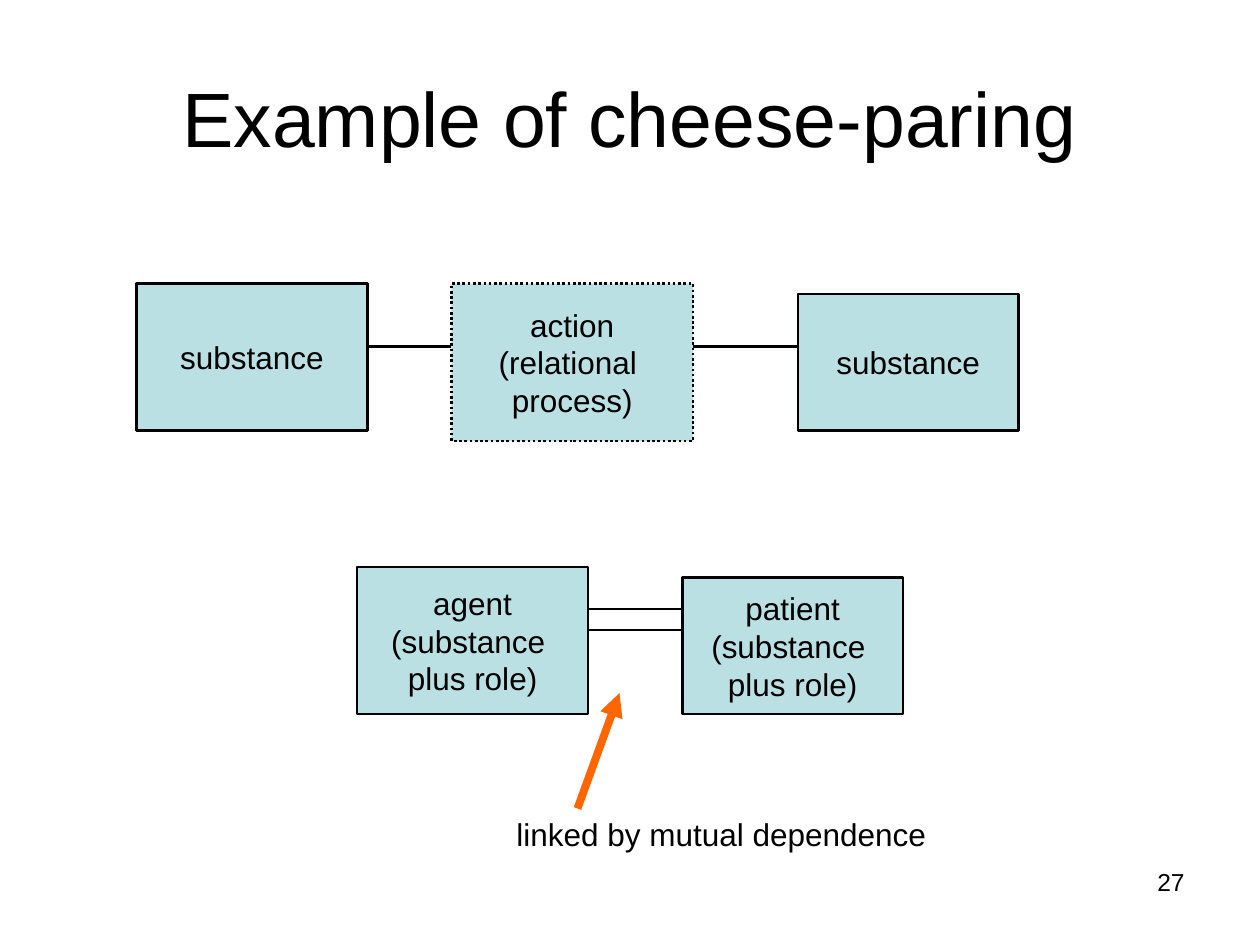
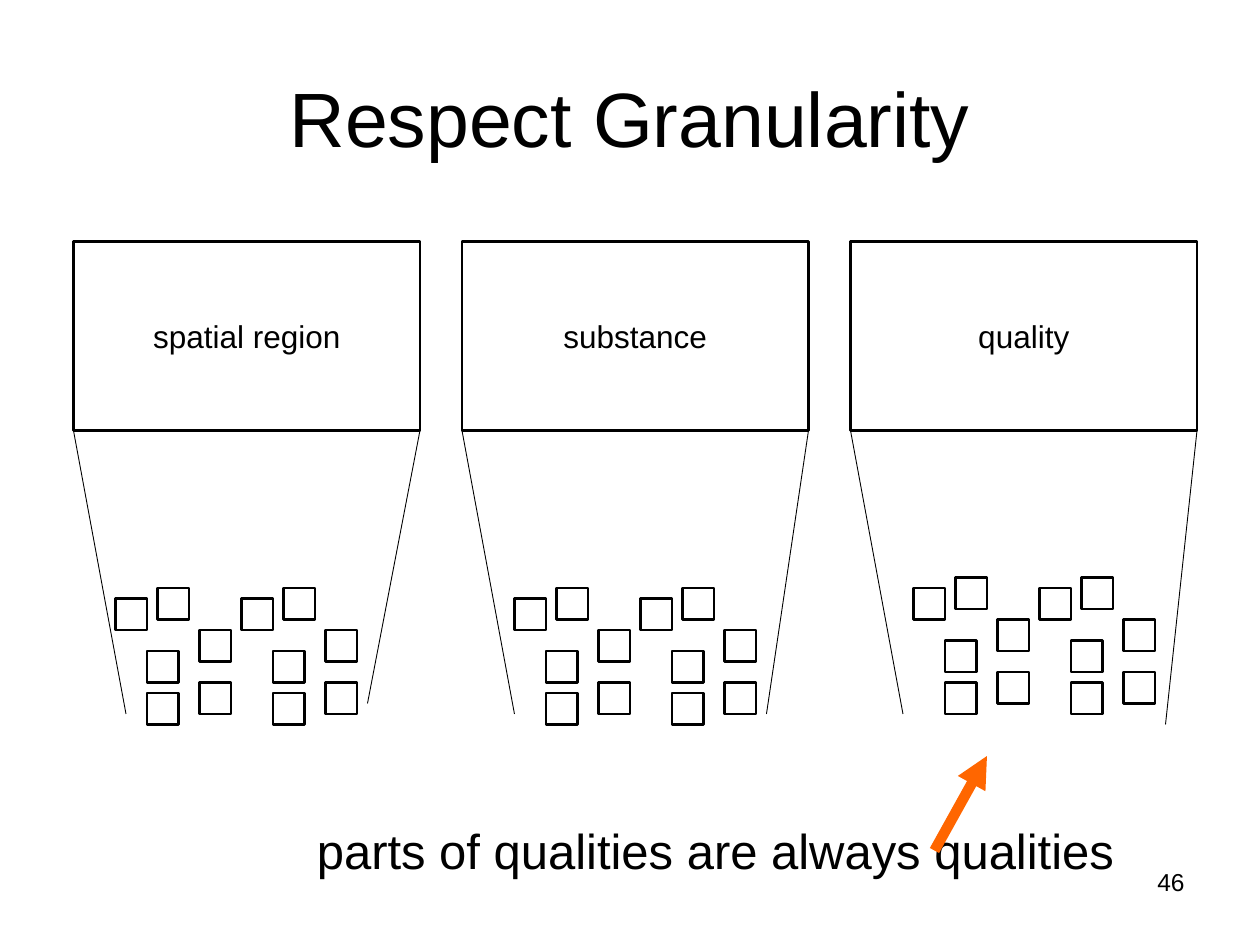
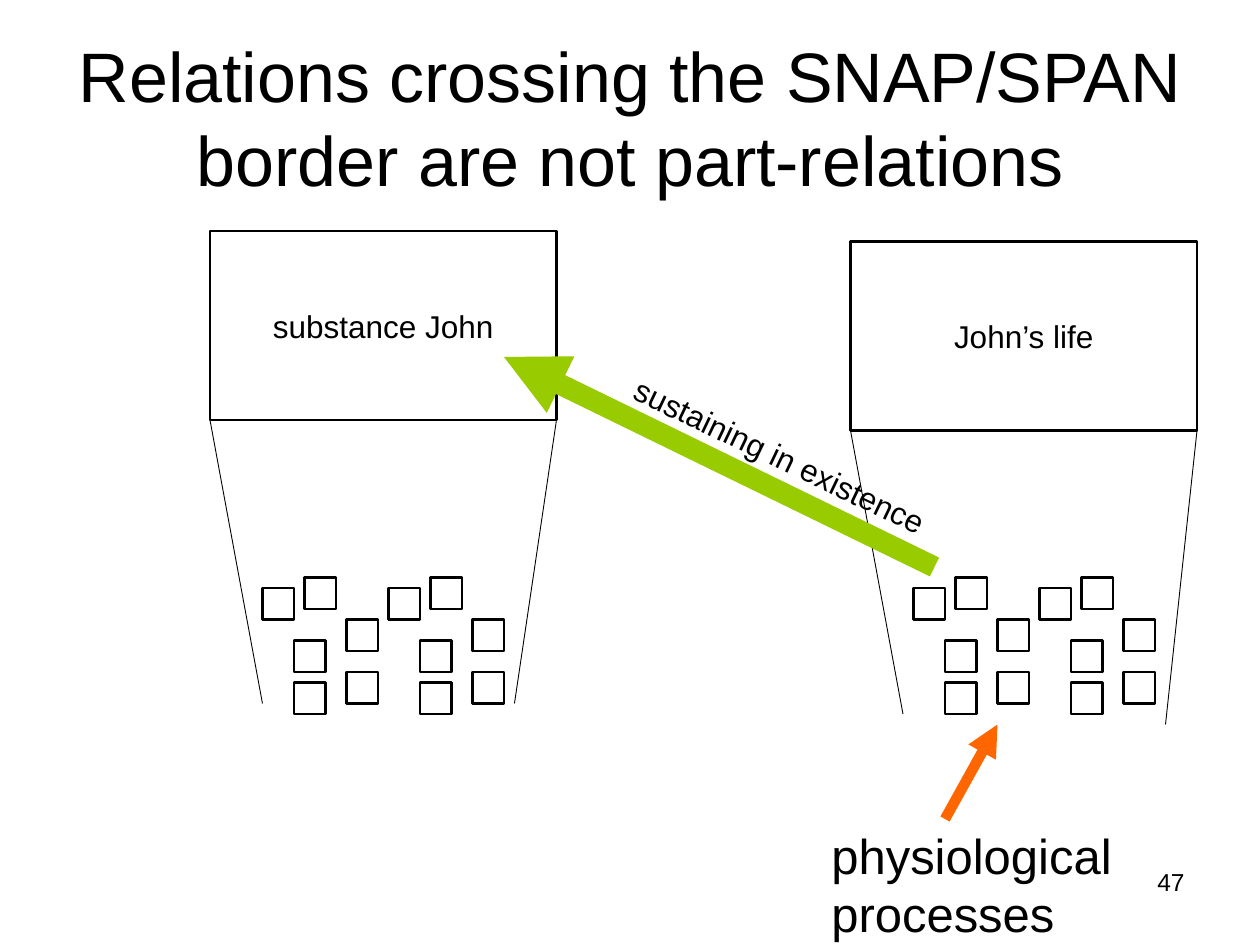
from itertools import pairwise, product

from lxml.etree import SubElement
from pptx import Presentation
from pptx.dml.color import RGBColor
from pptx.enum.dml import MSO_LINE
from pptx.enum.shapes import MSO_CONNECTOR, MSO_SHAPE
from pptx.enum.text import MSO_ANCHOR, MSO_AUTO_SIZE, PP_ALIGN
from pptx.oxml.ns import qn
from pptx.util import Inches, Pt

BLACK = RGBColor(0x00, 0x00, 0x00)
WHITE = RGBColor(0xFF, 0xFF, 0xFF)
AQUA = RGBColor(0xBB, 0xE0, 0xE3)
ORANGE = RGBColor(0xFF, 0x66, 0x00)
GREEN = RGBColor(0x99, 0xCC, 0x00)
FONT = "Arial"
COLS, ROWS = 120, 90
CELL = Inches(10) / COLS
TITLE = (6, 3.6, 108, 15)
NUMBER = (86, 82, 28, 6.2)
PANEL = (33, 18)
PARTS = ((0, 1), (4, 0), (8, 4), (3, 6), (8, 9), (3, 10))


def grid(*cells):
    """Turn grid cells into slide lengths."""
    return [round(cell * CELL) for cell in cells]


def write(shape, text, size=18, align=PP_ALIGN.LEFT, anchor=MSO_ANCHOR.TOP, wrap=True):
    """Fill a shape with formatted lines of text."""
    frame = shape.text_frame
    frame.text = text
    frame.word_wrap = wrap
    frame.auto_size = MSO_AUTO_SIZE.NONE
    frame.vertical_anchor = anchor
    for para in frame.paragraphs:
        para.alignment = align
        para.font.name = FONT
        para.font.size = Pt(size)
        para.font.color.rgb = BLACK


def label(slide, box, text, turn=0, **style):
    """Add a text box."""
    shape = slide.shapes.add_textbox(*grid(*box))
    shape.rotation = turn
    write(shape, text, **style)


def block(slide, box, text="", fill=WHITE, dash=None):
    """Add an outlined rectangle with centred text."""
    shape = slide.shapes.add_shape(MSO_SHAPE.RECTANGLE, *grid(*box))
    shape.shadow.inherit = False
    shape.fill.solid()
    shape.fill.fore_color.rgb = fill
    shape.line.color.rgb = BLACK
    shape.line.width = Pt(1.5)
    if dash:
        shape.line.dash_style = dash
    if text:
        write(shape, text, align=PP_ALIGN.CENTER, anchor=MSO_ANCHOR.MIDDLE, wrap=False)


def line(slide, start, end, color=BLACK, width=1.5, arrow=False):
    """Add a straight line, with an arrowhead if asked."""
    link = slide.shapes.add_connector(MSO_CONNECTOR.STRAIGHT, *grid(*start, *end))
    link.line.color.rgb = color
    link.line.width = Pt(width)
    props = link.element.spPr
    if arrow:
        SubElement(props.find(qn("a:ln")), qn("a:tailEnd"), type="triangle")
    SubElement(props, qn("a:effectLst"))


def chain(slide, left, top, nodes, rails):
    """Add a row of blocks joined by lines at the rail heights."""
    for (x, _, width, *_), (after, *_) in pairwise(nodes):
        for rail in rails:
            line(slide, (left + x + width, top + rail), (left + after, top + rail))
    for x, y, width, height, text, dash in nodes:
        block(slide, (left + x, top + y, width, height), text, AQUA, dash)


def panel(slide, left, top, text, inset=4, drop=33):
    """Add a panel whose two legs open onto its small parts."""
    width, height = PANEL
    base, right = top + height, left + width
    block(slide, (left, top, width, height), text)
    for shift, (x, y) in product((0, 12), PARTS):
        block(slide, (left + 9 - inset + shift + x, top + drop + y, 3, 3))
    line(slide, (left, base), (left + 5, base + 27), width=0.5)
    line(slide, (right, base), (right - inset, base + 31 - inset), width=0.5)


def page(deck, title, number, size=44):
    """Add a slide with its title and number."""
    slide = deck.slides.add_slide(deck.slide_layouts[5])
    head = slide.shapes.title
    head.left, head.top, head.width, head.height = grid(*TITLE)
    write(head, title, size=size, align=PP_ALIGN.CENTER, anchor=MSO_ANCHOR.MIDDLE)
    label(slide, NUMBER, str(number), size=14, align=PP_ALIGN.RIGHT)
    return slide


def paring(deck):
    """Build the slide on cheese-paring."""
    slide = page(deck, "Example of cheese-paring", 27)
    chain(slide, 13, 27, [
        (0, 0, 22, 14, "substance", None),
        (30, 0, 23, 15, "action\n(relational \nprocess)", MSO_LINE.ROUND_DOT),
        (63, 1, 21, 13, "substance", None),
    ], [6])
    chain(slide, 34, 54, [
        (0, 0, 22, 14, "agent\n(substance \nplus role)", None),
        (31, 1, 21, 13, "patient\n(substance \nplus role)", None),
    ], [4, 6])
    line(slide, (55, 77), (59, 66), ORANGE, 4.5, arrow=True)
    label(slide, (48, 77, 41.4, 4.8), "linked by mutual dependence", wrap=False)


def grains(deck):
    """Build the slide on granularity."""
    slide = page(deck, "Respect Granularity", 46)
    panel(slide, 7, 23, "spatial region", inset=5)
    panel(slide, 44, 23, "substance")
    panel(slide, 81, 23, "quality", inset=3, drop=32)
    label(slide, (29, 77.6, 84, 6.8), "parts of qualities are always qualities", size=28)
    line(slide, (89, 81), (94, 72), ORANGE, 6, arrow=True)


def border(deck):
    """Build the slide on relations that cross the border."""
    title = "Relations crossing the SNAP/SPAN border are not part-relations"
    slide = page(deck, title, 47, size=40)
    panel(slide, 81, 23, "John’s life", inset=3, drop=32)
    panel(slide, 20, 22, "substance John")
    label(slide, (78, 78, 35, 12.5), "physiological processes", size=28)
    line(slide, (90, 78), (95, 69), ORANGE, 6, arrow=True)
    line(slide, (89, 54), (48, 34), GREEN, 12, arrow=True)
    label(slide, (58, 41, 32.5, 4.8), "sustaining in existence", turn=25.5, wrap=False)


def main():
    """Build and save the deck."""
    deck = Presentation()
    deck.slide_width, deck.slide_height = grid(COLS, ROWS)
    for build in (paring, grains, border):
        build(deck)
    deck.save("out.pptx")


if __name__ == "__main__":
    main()
